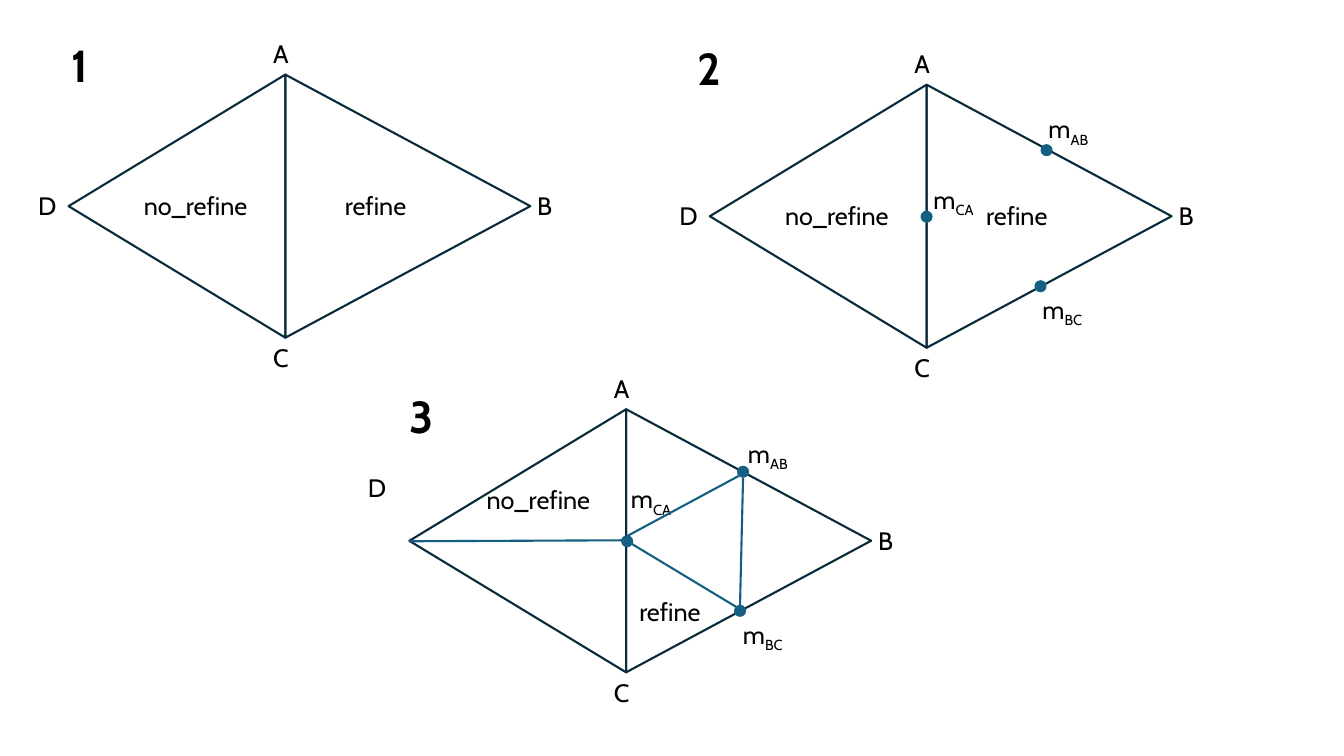
import dataclasses

import pptx
import pptx.dml.color
import pptx.enum.shapes
import pptx.enum.text
import pptx.oxml.ns
import pptx.util
from lxml import etree

SCALE = 9144  # EMU per px, 100 px to the inch
KIND = pptx.enum.shapes.MSO_SHAPE
ALIGN = pptx.enum.text.PP_ALIGN


@dataclasses.dataclass(frozen=True)
class Theme:
    font: str = "Cabin"
    text: str = "000000"
    edge: str = "092A39"
    accent: str = "156082"
    label: int = 18
    number: int = 32
    line: float = 1.5


THEME = Theme()

# Diamond size: the edge A-C splits it into a left and a right triangle
LEFT, RIGHT, HIGH = 215, 243, 261
DOT = 12

# Label positions, relative to the diamond's box
NAMES = {"A": (193, -41), "B": (455, 110), "C": (193, 261), "D": (-40, 110)}
STATES = {"refine": (258, 110), "no_refine": (58, 110)}
WIDTHS = {"refine": 93, "no_refine": 136}


def px(*nums):
    return [pptx.util.Emu(round(n * SCALE)) for n in nums]


def color(code):
    return pptx.dml.color.RGBColor.from_string(code)


def add_text(shapes, text, box, size=THEME.label, align=ALIGN.LEFT, bold=False, sub=""):
    frame = shapes.add_textbox(*px(*box)).text_frame
    frame.word_wrap = True
    frame.auto_size = pptx.enum.text.MSO_AUTO_SIZE.SHAPE_TO_FIT_TEXT
    para = frame.paragraphs[0]
    para.text = text
    para.alignment = align
    if sub:
        run = para.add_run()
        run.text = sub
        run._r.get_or_add_rPr().set("baseline", "-25000")
    for run in para.runs:
        run.font.name = THEME.font
        run.font.size = pptx.util.Pt(size)
        run.font.bold = bold
        run.font.color.rgb = color(THEME.text)


def add_half(shapes, left, top, width, turn):
    # The box is given as seen, so the unturned shape swaps its sides
    shift = (width - HIGH) / 2
    half = shapes.add_shape(
        KIND.ISOSCELES_TRIANGLE, *px(left + shift, top - shift, HIGH, width))
    half.rotation = turn
    half.shadow.inherit = False
    half.fill.background()
    half.line.color.rgb = color(THEME.edge)
    half.line.width = pptx.util.Pt(THEME.line)


def add_dot(shapes, x, y):
    dot = shapes.add_shape(KIND.OVAL, *px(x - DOT / 2, y - DOT / 2, DOT, DOT))
    dot.shadow.inherit = False
    dot.fill.solid()
    dot.fill.fore_color.rgb = color(THEME.accent)
    dot.line.fill.background()


def add_line(shapes, x1, y1, x2, y2):
    line = shapes.add_connector(
        pptx.enum.shapes.MSO_CONNECTOR.STRAIGHT, *px(x1, y1, x2, y2))
    line.line.color.rgb = color(THEME.accent)
    line.line.width = pptx.util.Pt(THEME.line)
    etree.SubElement(line._element.spPr, pptx.oxml.ns.qn("a:effectLst"))


def add_panel(slide, left, top, number, spot, names={}, states={}, mids={}, cuts=()):
    """Draw one step; every position is relative to (left, top)."""
    group = slide.shapes.add_group_shape().shapes

    # Two triangles
    add_half(group, left + LEFT, top, RIGHT, 90)
    add_half(group, left, top, LEFT, 270)

    # Corner names and states
    for name, (x, y) in (NAMES | names).items():
        add_text(group, name, (left + x, top + y, 51, 40))
    for state, (x, y) in (STATES | states).items():
        add_text(group, state, (left + x, top + y, WIDTHS[state], 40),
                 align=ALIGN.CENTER)

    # Midpoints with their labels
    for dot, _ in mids.values():
        add_dot(group, left + dot[0], top + dot[1])
    for side, (_, (x, y)) in mids.items():
        add_text(group, "m", (left + x, top + y, 68, 40), sub=side)

    # Step number and new edges
    add_text(slide.shapes, number, (left + spot[0], top + spot[1], 51, 64),
             THEME.number, ALIGN.CENTER, True)
    for x1, y1, x2, y2 in cuts:
        add_line(slide.shapes, left + x1, top + y1, left + x2, top + y2)


def main():
    deck = pptx.Presentation()
    deck.slide_width, deck.slide_height = px(1333, 750)
    slide = deck.slides.add_slide(deck.slide_layouts[6])

    # Step 1: marked triangles
    add_panel(slide, 68, 74, "1", (-14, -41))

    # Step 2: midpoints
    add_panel(slide, 704, 84, "2", (-26, -49), mids={
        "AB": ((334, 65), (326, 24)),
        "BC": ((328, 200), (320, 203)),
        "CA": ((215, 131), (212, 94))})

    # Step 3: refined triangles
    add_panel(
        slide, 406, 406, "3", (-13, -25),
        names={"D": (-51, 58)},
        states={"refine": (212, 181), "no_refine": (60, 70)},
        mids={
            "AB": ((331, 62), (326, 24)),
            "BC": ((328, 200), (321, 203)),
            "CA": ((216, 131), (210, 69))},
        cuts=[(0, 131, 215, 130), (218, 132, 324, 196),
              (212, 128, 327, 66), (328, 194, 331, 68)])

    deck.save("out.pptx")


if __name__ == "__main__":
    main()
